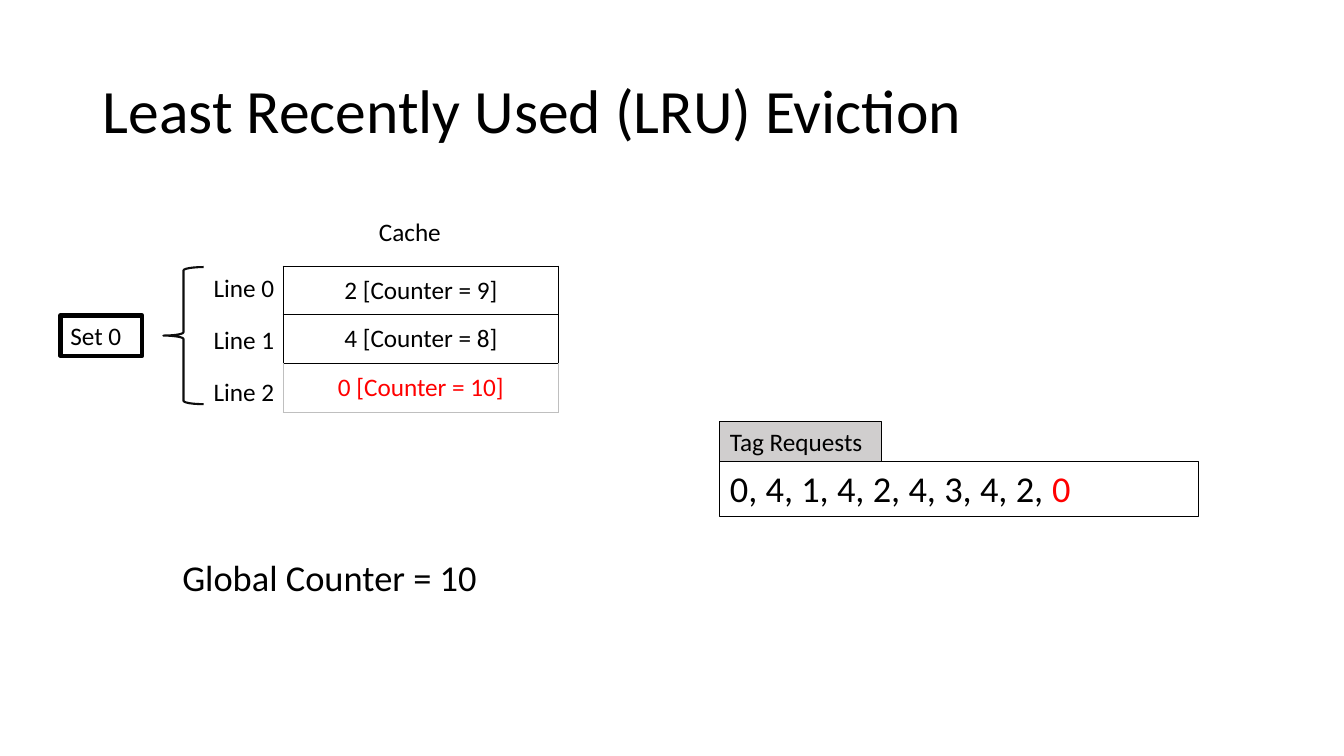
from lxml import etree
from pptx import Presentation
from pptx.dml.color import RGBColor
from pptx.enum.shapes import MSO_SHAPE
from pptx.enum.text import MSO_ANCHOR, PP_ALIGN
from pptx.oxml.ns import qn
from pptx.util import Inches, Pt

RECTANGLE = MSO_SHAPE.RECTANGLE
LEFT_BRACE = MSO_SHAPE.LEFT_BRACE
MIDDLE = MSO_ANCHOR.MIDDLE
TOP = MSO_ANCHOR.TOP
LEFT = PP_ALIGN.LEFT
CENTER = PP_ALIGN.CENTER

FONT = "Calibri"
COLORS = {
    "text": "000000",
    "latest": "FF0000",
    "brace": "0D0D0D",
    "tab": "D0CECE",
    "faint": "BFBFBF",
}


def rgb(name):
    """Return the palette colour of that name."""
    return RGBColor.from_string(COLORS[name])


def write(frame, parts, size, align=LEFT):
    """Fill one paragraph with (text, colour) parts."""
    paragraph = frame.paragraphs[0]
    paragraph.alignment = align
    for text, color in parts:
        run = paragraph.add_run()
        run.text = text
        run.font.name = FONT
        run.font.size = Pt(size)
        run.font.color.rgb = rgb(color)
    return paragraph


def add_title(slide, text):
    """Place and format the title placeholder."""
    title = slide.shapes.title
    title.left, title.top = Inches(0.92), Inches(0.4)
    title.width, title.height = Inches(11.5), Inches(1.45)
    title.text_frame.vertical_anchor = MIDDLE
    write(title.text_frame, [(text, "text")], 44).line_spacing = 0.9


def add_label(slide, box, text, size=18):
    """Add a plain text label."""
    frame = slide.shapes.add_textbox(*map(Inches, box)).text_frame
    frame.word_wrap = True
    write(frame, [(text, "text")], size)


def add_outline(slide, kind, box, weight, line="text", fill=None):
    """Add an outlined shape, unfilled unless a fill is named."""
    shape = slide.shapes.add_shape(kind, *map(Inches, box))
    shape.shadow.inherit = False
    shape.line.color.rgb = rgb(line)
    shape.line.width = Pt(weight)
    if fill:
        shape.fill.solid()
        shape.fill.fore_color.rgb = rgb(fill)
    else:
        shape.fill.background()
    return shape


def add_box(slide, box, parts, size=18, weight=0.75, fill=None):
    """Add an outlined rectangle with text at its top left."""
    frame = add_outline(slide, RECTANGLE, box, weight, fill=fill).text_frame
    frame.word_wrap = True
    frame.vertical_anchor = TOP
    write(frame, parts, size)


def set_borders(cell, borders):
    """Draw cell borders from (side, colour, weight) entries."""
    properties = cell._tc.get_or_add_tcPr()
    for position, (side, color, weight) in enumerate(borders):
        line = etree.Element(qn(f"a:ln{side}"), w=str(Pt(weight)))
        fill = etree.SubElement(line, qn("a:solidFill"))
        etree.SubElement(fill, qn("a:srgbClr"), val=COLORS[color])
        properties.insert(position, line)


def add_cache_table(slide, box, entries):
    """Add the one-column cache table, its latest entry faintly framed."""
    frame = slide.shapes.add_table(len(entries), 1, *map(Inches, box))
    table = frame.table
    table.first_row = table.horz_banding = False
    for row, (text, color) in enumerate(entries):
        cell = table.cell(row, 0)
        cell.fill.background()
        cell.vertical_anchor = MIDDLE
        write(cell.text_frame, [(text, color)], 18, CENTER)
        edge = ("faint", 0.5) if color == "latest" else ("text", 1)
        set_borders(cell, [("L", *edge), ("R", *edge), ("T", "text", 1), ("B", *edge)])


def main():
    """Build and save the slide."""
    deck = Presentation()
    deck.slide_width, deck.slide_height = Inches(13.33), Inches(7.5)
    slide = deck.slides.add_slide(deck.slide_layouts[5])
    add_title(slide, "Least Recently Used (LRU) Eviction")

    cache_entries = [
        ("2 [Counter = 9]", "text"),
        ("4 [Counter = 8]", "text"),
        ("0 [Counter = 10]", "latest"),
    ]
    add_cache_table(slide, (2.81, 2.64, 2.73, 1.45), cache_entries)
    for index in range(len(cache_entries)):
        add_label(slide, (2.02, 2.65 + 0.515 * index, 0.96, 0.4), f"Line {index}")
    add_outline(slide, LEFT_BRACE, (1.62, 2.65, 0.4, 1.36), 1.5, "brace")
    add_box(slide, (0.6, 3.13, 0.81, 0.4), [("Set 0", "text")], weight=3)
    add_label(slide, (3.66, 2.1, 0.84, 0.4), "Cache")

    requests = [("0, 4, 1, 4, 2, 4, 3, 4, 2,", "text"), (" 0", "latest")]
    add_box(slide, (7.14, 4.58, 4.75, 0.54), requests, size=26)
    add_box(slide, (7.14, 4.18, 1.6, 0.4), [("Tag Requests", "text")], fill="tab")
    add_label(slide, (1.71, 5.46, 3.76, 0.54), "Global Counter = 10", 26)

    deck.save("out.pptx")


if __name__ == "__main__":
    main()
